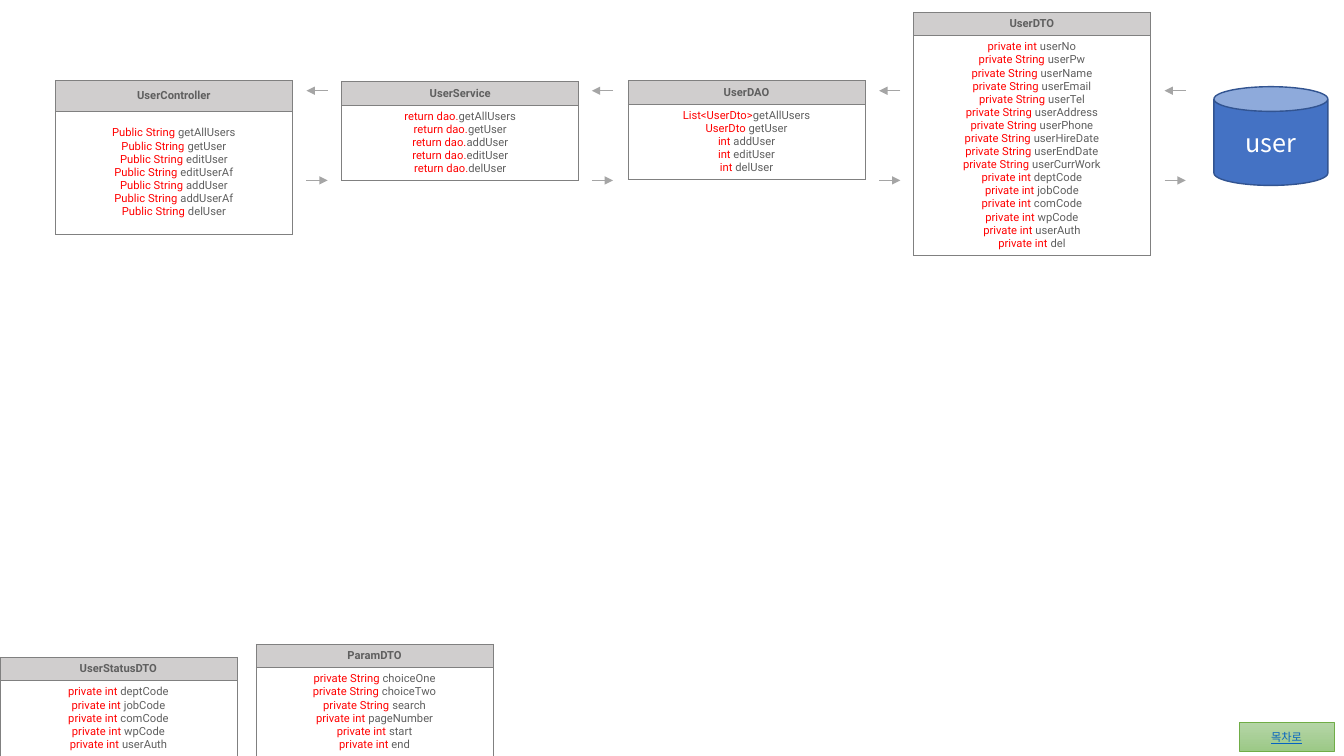
from lxml import etree
from pptx import Presentation
from pptx.dml.color import RGBColor
from pptx.enum.shapes import MSO_CONNECTOR, MSO_SHAPE
from pptx.enum.text import MSO_ANCHOR, PP_ALIGN
from pptx.oxml.ns import qn
from pptx.util import Inches, Pt

CENTER, MIDDLE = PP_ALIGN.CENTER, MSO_ANCHOR.MIDDLE
CAN, RECT = MSO_SHAPE.CAN, MSO_SHAPE.RECTANGLE
STRAIGHT = MSO_CONNECTOR.STRAIGHT


def rgb(value):
    return RGBColor.from_string(value)


def add_run(p, text, size=8, font="Roboto", color="5F5F5F", bold=False, underline=False):
    p.alignment = CENTER
    r = p.add_run()
    r.text = text
    r.font.size = Pt(size)
    r.font.name = font
    r.font.color.rgb = rgb(color)
    r.font.bold = bold
    r.font.underline = underline
    etree.SubElement(r.font._element, qn("a:ea"), typeface=font)


def members(prefix, names):
    return [(prefix, name) for name in names.split()]


class Diagram:
    header_fill, border, keyword, arrow_color = "D0CECE", "808080", "FF0000", "A5A5A5"
    width, inset = 2.35, 0.05
    korean_font = "Noto Sans CJK KR"

    def __init__(self, slide):
        self.s = slide

    def style_cell(self, cell):
        cell.vertical_anchor = MIDDLE
        cell.margin_left = cell.margin_right = Inches(self.inset)
        cell.margin_top = cell.margin_bottom = Inches(self.inset)
        tc_pr = cell._tc.get_or_add_tcPr()
        for i, side in enumerate(("lnL", "lnR", "lnT", "lnB")):
            ln = etree.Element(qn(f"a:{side}"), w=str(Pt(0.5)))
            fill = etree.SubElement(ln, qn("a:solidFill"))
            etree.SubElement(fill, qn("a:srgbClr"), val=self.border)
            tc_pr.insert(i, ln)

    def class_box(self, name, x, y, height, rows, header=0.22):
        frame = self.s.shapes.add_table(2, 1, Inches(x), Inches(y), Inches(self.width), Inches(height))
        table = frame.table
        table.first_row = table.horz_banding = False
        table.rows[0].height = Inches(header)
        table.rows[1].height = Inches(height - header)
        title, body = table.cell(0, 0), table.cell(1, 0)
        for cell in (title, body):
            self.style_cell(cell)
        title.fill.solid()
        title.fill.fore_color.rgb = rgb(self.header_fill)
        body.fill.background()
        add_run(title.text_frame.paragraphs[0], name, bold=True)
        tf = body.text_frame
        for i, (prefix, member) in enumerate(rows):
            p = tf.add_paragraph() if i else tf.paragraphs[0]
            add_run(p, prefix, color=self.keyword)
            add_run(p, member)

    def arrow_pair(self, x, length=0.21):
        group = self.s.shapes.add_group_shape()
        for start, end, y in ((x, x + length, 1.79), (x + length, x, 0.9)):
            line = group.shapes.add_connector(STRAIGHT, Inches(start), Inches(y), Inches(end), Inches(y))
            line.line.color.rgb = rgb(self.arrow_color)
            line.line.width = Pt(0.5)
            etree.SubElement(line.line._get_or_add_ln(), qn("a:tailEnd"), type="triangle")
            etree.SubElement(line._element.spPr, qn("a:effectLst"))

    def shape(self, kind, x, y, w, h, text, fill, line, line_width, **text_format):
        sp = self.s.shapes.add_shape(kind, Inches(x), Inches(y), Inches(w), Inches(h))
        sp.shadow.inherit = False
        if len(fill) == 1:
            sp.fill.solid()
            sp.fill.fore_color.rgb = rgb(fill[0])
        else:
            sp.fill.gradient()
            sp.fill.gradient_angle = 270
            for stop, color in zip(sp.fill.gradient_stops, fill):
                stop.color.rgb = rgb(color)
        sp.line.color.rgb = rgb(line)
        sp.line.width = Pt(line_width)
        tf = sp.text_frame
        tf.vertical_anchor = MIDDLE
        add_run(tf.paragraphs[0], text, font=self.korean_font, **text_format)


def main():
    prs = Presentation()
    prs.slide_width, prs.slide_height = Inches(13.33), Inches(7.5)
    d = Diagram(prs.slides.add_slide(prs.slide_layouts[6]))

    codes = members("private int ", "deptCode jobCode comCode wpCode userAuth")
    d.class_box("UserController", 0.55, 0.8, 1.52, members(
        "Public String ", "getAllUsers getUser editUser editUserAf addUser addUserAf delUser"), header=0.3)
    d.class_box("UserDTO", 9.06, 0.12, 2.4, [
        ("private int ", "userNo"),
        *members("private String ", "userPw userName userEmail userTel userAddress "
                 "userPhone userHireDate userEndDate userCurrWork"),
        *codes,
        ("private int ", "del"),
    ])
    d.shape(CAN, 12.04, 0.86, 1.13, 0.98, "user", ["4472C4"], "325491", 1, size=18, color="FFFFFF")
    d.class_box("UserService", 3.39, 0.81, 0.97, members(
        "return dao.", "getAllUsers getUser addUser editUser delUser"))
    d.class_box("UserDAO", 6.23, 0.8, 0.97, [
        ("List<UserDto>", "getAllUsers"),
        ("UserDto", " getUser"),
        *[("int", f" {action}User") for action in ("add", "edit", "del")],
    ])
    for x in (11.55, 8.72, 5.87, 3.04):
        d.arrow_pair(x)
    d.shape(RECT, 12.29, 7.17, 0.94, 0.28, "목차로", ["B5D5A7", "9CC987"], "70AD47", 0.5,
            color="0563C1", underline=True)
    d.class_box("UserStatusDTO", 0, 6.52, 0.97, codes)
    d.class_box("ParamDTO", 2.54, 6.39, 1.1, [
        *members("private String ", "choiceOne choiceTwo search"),
        *members("private int ", "pageNumber start end"),
    ])
    prs.save("out.pptx")


if __name__ == "__main__":
    main()
